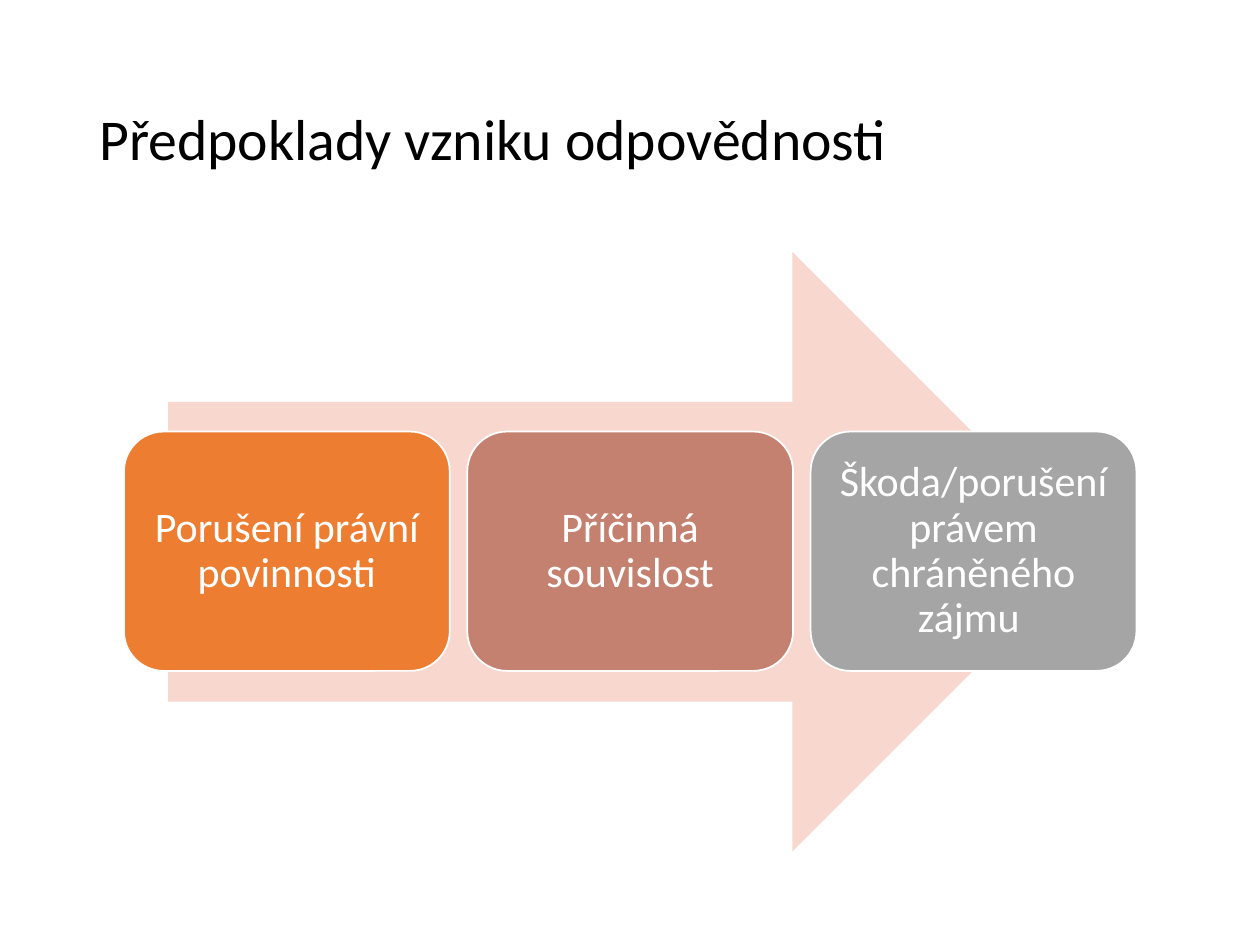
"""Build a slide on the conditions under which liability arises."""
from pptx import Presentation
from pptx.dml.color import RGBColor
from pptx.enum.shapes import MSO_SHAPE
from pptx.enum.text import MSO_ANCHOR, MSO_AUTO_SIZE, PP_ALIGN
from pptx.util import Pt

ARROW = MSO_SHAPE.RIGHT_ARROW
ROUND = MSO_SHAPE.ROUNDED_RECTANGLE
MIDDLE = MSO_ANCHOR.MIDDLE
NO_FIT = MSO_AUTO_SIZE.NONE
LEFT, CENTER = PP_ALIGN.LEFT, PP_ALIGN.CENTER

BLACK = RGBColor(0x00, 0x00, 0x00)
WHITE = RGBColor(0xFF, 0xFF, 0xFF)
PINK = RGBColor(0xF8, 0xD7, 0xCE)
ORANGE = RGBColor(0xED, 0x7D, 0x31)
ROSE = RGBColor(0xC4, 0x81, 0x70)
GREY = RGBColor(0xA5, 0xA5, 0xA5)

FONT = "Calibri"
STEPS = [
    ("Porušení právní povinnosti", ORANGE),
    ("Příčinná souvislost", ROSE),
    ("Škoda/porušení právem chráněného zájmu ", GREY),
]
BOX_LEFT, BOX_TOP = 70.8, 246.6
BOX_WIDTH, BOX_HEIGHT = 186.2, 136.8
BOX_STEP = 196.2


def write(frame, text, size, color, align):
    """Fill a text frame with one formatted run."""
    frame.word_wrap = True
    frame.auto_size = NO_FIT
    frame.vertical_anchor = MIDDLE
    para = frame.paragraphs[0]
    para.alignment = align
    para.line_spacing = 0.9
    run = para.add_run()
    run.text = text
    run.font.name = FONT
    run.font.size = Pt(size)
    run.font.color.rgb = color


def add_title(slide, text):
    """Place the slide title."""
    title = slide.shapes.title
    title.left, title.top = Pt(49.5), Pt(28.8)
    title.width, title.height = Pt(621), Pt(104.4)
    write(title.text_frame, text, 33, BLACK, LEFT)


def add_shape(slide, kind, left, top, width, height, color):
    """Add a flat filled shape without an outline."""
    shape = slide.shapes.add_shape(
        kind, Pt(left), Pt(top), Pt(width), Pt(height))
    shape.shadow.inherit = False
    shape.fill.solid()
    shape.fill.fore_color.rgb = color
    shape.line.fill.background()
    return shape


def add_step(slide, left, text, color):
    """Add one rounded step box with its label."""
    box = add_shape(slide, ROUND, left, BOX_TOP, BOX_WIDTH, BOX_HEIGHT, color)
    box.line.color.rgb = WHITE
    box.line.width = Pt(1)
    frame = box.text_frame
    frame.margin_left = frame.margin_right = Pt(7.2)
    frame.margin_top = frame.margin_bottom = Pt(7.2)
    write(frame, text, 24, WHITE, CENTER)


def main():
    """Build and save the slide."""
    deck = Presentation()
    deck.slide_width, deck.slide_height = Pt(720), Pt(540)
    slide = deck.slides.add_slide(deck.slide_layouts[5])
    add_title(slide, "Předpoklady vzniku odpovědnosti")
    add_shape(slide, ARROW, 96, 144, 528, 342.6, PINK)
    for index, (text, color) in enumerate(STEPS):
        add_step(slide, BOX_LEFT + index * BOX_STEP, text, color)
    deck.save("out.pptx")


if __name__ == "__main__":
    main()
